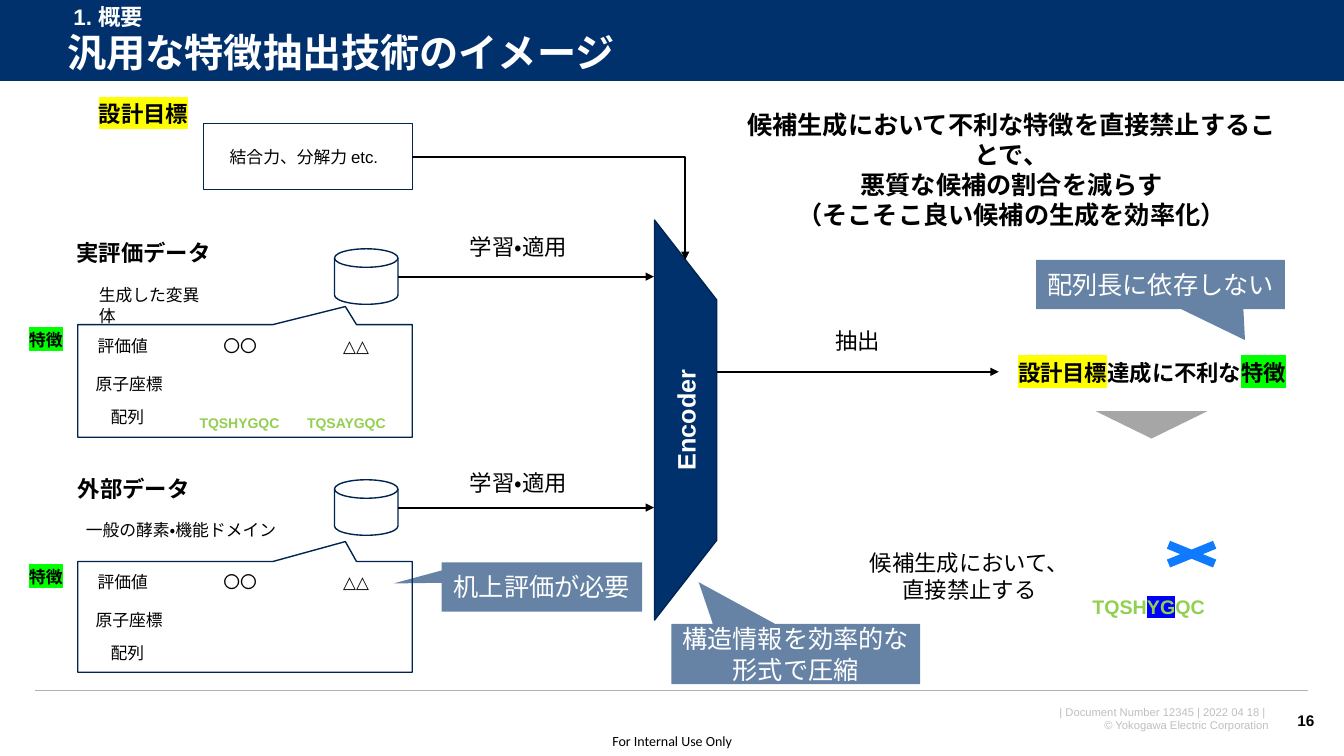
from lxml.etree import SubElement
from pptx import Presentation
from pptx.dml.color import RGBColor
from pptx.enum.lang import MSO_LANGUAGE_ID
from pptx.enum.shapes import MSO_CONNECTOR, MSO_SHAPE
from pptx.enum.text import MSO_ANCHOR, PP_ALIGN
from pptx.oxml import parse_xml
from pptx.oxml.ns import nsdecls, qn
from pptx.util import Cm, Pt

NAVY, EDGE, BLACK, WHITE, GREEN = "00316C", "002450", "000000", "FFFFFF", "92D050"
YELLOW_MARK, GREEN_MARK, BLUE_MARK = "FFFF00", "00FF00", "0000FF"
LEFT, CENTER, RIGHT = PP_ALIGN.LEFT, PP_ALIGN.CENTER, PP_ALIGN.RIGHT
MIDDLE = MSO_ANCHOR.MIDDLE


def rgb(value):
    return RGBColor.from_string(value)


def apply(target, values):
    for key, value in values.items():
        setattr(target, key, value)


class Board:
    font = {"name": "Arial", "bold": False, "language_id": MSO_LANGUAGE_ID.JAPANESE}

    def __init__(self, prs):
        self.s = prs.slides.add_slide(prs.slide_layouts[6])

    def fill_text(self, sp, paragraphs, size, color=BLACK, align=LEFT, spacing=None, **font):
        tf = sp.text_frame
        for i, runs in enumerate(paragraphs):
            p = tf.paragraphs[0] if i == 0 else tf.add_paragraph()
            apply(p, {"alignment": align, "line_spacing": spacing})
            for text, mark in [(runs, None)] if isinstance(runs, str) else runs:
                r = p.add_run()
                r.text = text
                r.font.color.rgb = rgb(color)
                apply(r.font, {**self.font, "size": Pt(size), **font})
                if mark:
                    fill = r._r.rPr.find(qn("a:solidFill"))
                    fill.addnext(parse_xml(
                        f'<a:highlight {nsdecls("a")}><a:srgbClr val="{mark}"/></a:highlight>'))

    def text(self, x, y, w, h, paragraphs, size, anchor=MSO_ANCHOR.TOP, wrap=True,
             inset=None, **style):
        sp = self.s.shapes.add_textbox(Cm(x), Cm(y), Cm(w), Cm(h))
        apply(sp.text_frame, {"word_wrap": wrap, "vertical_anchor": anchor})
        if inset is not None:
            sides = ("left", "top", "right", "bottom")
            apply(sp.text_frame, {f"margin_{side}": Cm(inset) for side in sides})
        self.fill_text(sp, [paragraphs] if isinstance(paragraphs, str) else paragraphs,
                       size, **style)

    def shape(self, kind, x, y, w, h, fill, line=None, adjust=(), rotation=0, alpha=None):
        sp = self.s.shapes.add_shape(kind, Cm(x), Cm(y), Cm(w), Cm(h))
        sp.shadow.inherit = False
        sp.rotation = rotation
        for i, value in enumerate(adjust):
            sp.adjustments[i] = value
        sp.fill.solid()
        sp.fill.fore_color.rgb = rgb(fill)
        if alpha:
            color = sp._element.spPr.find(qn("a:solidFill"))[0]
            SubElement(color, qn("a:alpha")).set("val", str(alpha * 1000))
        if line:
            sp.line.color.rgb = rgb(line)
            sp.line.width = Pt(1)
        else:
            sp.line.fill.background()
        apply(sp.text_frame, {"word_wrap": True, "vertical_anchor": MIDDLE})
        return sp

    def balloon(self, x, y, w, h, adjust, text):
        sp = self.shape(MSO_SHAPE.RECTANGULAR_CALLOUT, x, y, w, h, NAVY,
                        adjust=adjust, alpha=60)
        self.fill_text(sp, [text], 18, WHITE, CENTER)

    def line(self, x1, y1, x2, y2, color=BLACK, width=1.5, arrow=True, bent=False):
        kind = MSO_CONNECTOR.ELBOW if bent else MSO_CONNECTOR.STRAIGHT
        cx = self.s.shapes.add_connector(kind, Cm(x1), Cm(y1), Cm(x2), Cm(y2))
        cx.line.color.rgb = rgb(color)
        cx.line.width = Pt(width)
        spPr = cx._element.spPr
        if bent:
            spPr.find(qn("a:prstGeom")).set("prst", "bentConnector2")
        if arrow:
            SubElement(spPr.find(qn("a:ln")), qn("a:tailEnd")).set("type", "triangle")
        SubElement(spPr, qn("a:effectLst"))
        return cx


def draw_frame(b):
    b.text(24.08, 17.65, 8.15, 0.94,
           ["| Document Number 12345 | 2022 04 18 | ", "© Yokogawa Electric Corporation"],
           8, color="BFBFBF", align=RIGHT)
    b.text(15.01, 18.31, 3.86, 0.74, "For Internal Use Only", 10, MIDDLE,
           inset=0, align=CENTER, name="Calibri")
    b.shape(MSO_SHAPE.RECTANGLE, 0, 0, 33.87, 2.06, NAVY)
    b.line(0, 2.06, 33.87, 2.06, WHITE, 0.75, arrow=False)
    b.line(0.89, 17.4, 32.97, 17.4, "B2B2B2", 1, arrow=False)
    b.text(1.45, 0.66, 31.67, 1.45, "汎用な特徴抽出技術のイメージ", 28, MIDDLE,
           color=WHITE, spacing=0.9, bold=True)
    b.text(1.6, -0.05, 7.87, 0.94, "1. 概要", 16, color=WHITE, bold=True)
    b.text(32.26, 17.65, 1.12, 1.02, "16", 11, MIDDLE, wrap=False, align=RIGHT, bold=True)


def draw_source(b, heading, heading_x, heading_y, disk_y, box_y, box_h, tip, row_y):
    b.shape(MSO_SHAPE.RECTANGULAR_CALLOUT, 1.96, box_y, 8.43, box_h, WHITE, EDGE, tip)
    b.shape(MSO_SHAPE.FLOWCHART_MAGNETIC_DISK, 8.43, disk_y, 1.6, 1.4, WHITE, EDGE)
    b.line(10.03, disk_y + 0.7, 16.48, disk_y + 0.7)
    b.text(heading_x, heading_y, 4.04, 0.94, heading, 16, align=CENTER, bold=True)
    b.text(11.34, heading_y - 0.14, 3.45, 0.94, "学習・適用", 16, align=CENTER)
    b.text(0.46, box_y, 1.4, 0.76, [[("特徴", GREEN_MARK)]], 12, align=CENTER, bold=True)
    rows = [("評価値", 2.21, 0), ("原子座標", 2.16, 0.97), ("配列", 2.54, 1.8)]
    for label, x, dy in rows:
        b.text(x, row_y + dy, 2.41, 0.76, label, 12)
    for value, x in (("〇〇", 4.85), ("△△", 7.77)):
        b.text(x, row_y, 2.41, 0.76, value, 12, align=CENTER)


def draw_encoder(b):
    encoder = b.shape(MSO_SHAPE.FLOWCHART_MANUAL_OPERATION, 12.24, 9.8, 10.08, 1.57,
                      NAVY, EDGE, rotation=270)
    b.fill_text(encoder, ["Encoder"], 18, WHITE, CENTER, bold=True)
    b.text(1.6, 2.41, 4.04, 0.94, [[("設計目標", YELLOW_MARK)]], 16, align=CENTER, bold=True)
    goal = b.shape(MSO_SHAPE.RECTANGLE, 5.13, 3.12, 5.26, 1.65, WHITE, EDGE)
    b.line(10.39, 3.95, 17.27, 6.55, bent=True).begin_connect(goal, 3)
    b.text(5.54, 3.58, 4.34, 0.76, "結合力、分解力 etc.", 12)


def draw_result(b):
    b.line(18.06, 9.37, 25.17, 9.37)
    b.text(19.89, 8.13, 3.45, 0.94, "抽出", 16, align=CENTER)
    b.text(25.2, 8.92, 7.67, 0.94,
           [[("設計目標", YELLOW_MARK), ("達成に不利な", None), ("特徴", GREEN_MARK)]],
           16, align=CENTER, bold=True)
    b.shape(MSO_SHAPE.ISOSCELES_TRIANGLE, 27.61, 10.36, 2.82, 0.69, "A6A6A6", rotation=180)
    b.text(21.41, 13.72, 6.05, 1.63, ["候補生成において、", "直接禁止する"], 16, align=CENTER)
    b.text(27.28, 14.86, 3.51, 0.86, [[("TQSH", None), ("YG", BLUE_MARK), ("QC", None)]],
           14, color=GREEN, bold=True)
    b.shape(MSO_SHAPE.MATH_MULTIPLY, 28.91, 13.51, 2.24, 0.91, "0E7BFF")
    b.text(18.57, 2.62, 13.84, 2.57,
           ["候補生成において不利な特徴を直接禁止することで、", "悪質な候補の割合を減らす",
            "（そこそこ良い候補の生成を効率化）"], 18, align=CENTER, bold=True)


def main():
    prs = Presentation()
    apply(prs, {"slide_width": Cm(33.87), "slide_height": Cm(19.05)})
    b = Board(prs)
    draw_frame(b)
    draw_source(b, "実評価データ", 1.6, 5.89, 6.27, 8.18, 2.84, (0.3, -0.66), 8.33)
    draw_source(b, "外部データ", 1.35, 11.84, 12.09, 14.15, 2.79, (0.3, -0.68), 14.27)
    b.text(2.24, 7.06, 3.45, 0.76, "生成した変異体", 12)
    b.text(1.9, 12.98, 5.33, 0.76, "一般の酵素・機能ドメイン", 12, align=CENTER)
    for sequence, x in (("TQSHYGQC", 4.78), ("TQSAYGQC", 7.49)):
        b.text(x, 10.32, 2.54, 0.69, sequence, 10, wrap=False, color=GREEN, bold=True)
    draw_encoder(b)
    draw_result(b)
    b.balloon(26.11, 6.55, 6.27, 1.24, (0.34, 1.13), "配列長に依存しない")
    b.balloon(11.13, 14.17, 5.05, 1.24, (-0.74, -0.07), "机上評価が必要")
    b.balloon(16.92, 15.72, 6.27, 1.52, (-0.39, -1.19), "構造情報を効率的な形式で圧縮")
    prs.save("out.pptx")


if __name__ == "__main__":
    main()
